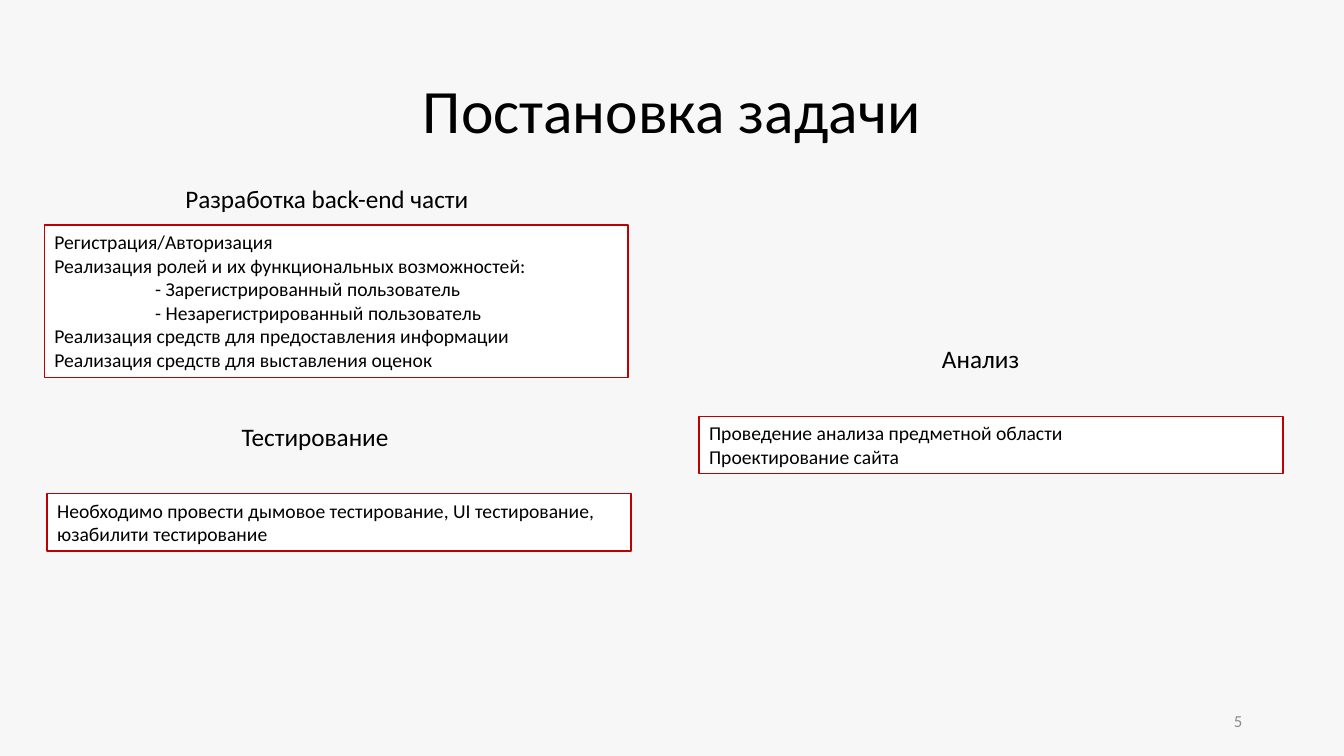
from dataclasses import dataclass

from pptx import Presentation
from pptx.dml.color import RGBColor
from pptx.enum.shapes import MSO_SHAPE
from pptx.enum.text import MSO_ANCHOR, MSO_AUTO_SIZE, PP_ALIGN
from pptx.util import Cm, Pt


@dataclass(frozen=True)
class Theme:
    font: str = "Calibri"
    background: RGBColor = RGBColor(0xF7, 0xF7, 0xF7)
    panel: RGBColor = RGBColor(0xFF, 0xFF, 0xFF)
    border: RGBColor = RGBColor(0xC0, 0x00, 0x00)
    text: RGBColor = RGBColor(0x00, 0x00, 0x00)
    muted: RGBColor = RGBColor(0x8C, 0x8C, 0x8C)
    title_size: int = 44
    heading_size: int = 18
    body_size: int = 14
    number_size: int = 12


class TaskSlide:
    PANEL_WIDTH = 14.71
    SUBITEM = "- "

    def __init__(self, presentation, theme):
        self.theme = theme
        self.slide = presentation.slides.add_slide(presentation.slide_layouts[6])
        fill = self.slide.background.fill
        fill.solid()
        fill.fore_color.rgb = theme.background

    def style(self, paragraph, size, color, align=PP_ALIGN.LEFT):
        paragraph.alignment = align
        paragraph.font.name = self.theme.font
        paragraph.font.size = Pt(size)
        paragraph.font.color.rgb = color

    def label(self, text, left, top, width, height, size, color=None,
              align=PP_ALIGN.LEFT, anchor=MSO_ANCHOR.TOP):
        frame = self.slide.shapes.add_textbox(
            Cm(left), Cm(top), Cm(width), Cm(height)).text_frame
        frame.word_wrap = True
        frame.vertical_anchor = anchor
        paragraph = frame.paragraphs[0]
        paragraph.text = text
        self.style(paragraph, size, color or self.theme.text, align)
        return paragraph

    def title(self, text):
        paragraph = self.label(text, 2.33, 1.01, 29.21, 3.68, self.theme.title_size,
                               align=PP_ALIGN.CENTER, anchor=MSO_ANCHOR.MIDDLE)
        paragraph.line_spacing = 0.9

    def heading(self, text, left, top, width):
        self.label(text, left, top, width, 1.03, self.theme.heading_size)

    def page_number(self, text):
        self.label(text, 23.94, 17.65, 7.62, 1.01, self.theme.number_size,
                   self.theme.muted, PP_ALIGN.RIGHT, MSO_ANCHOR.MIDDLE)

    def panel(self, lines, left, top, height):
        """Draw a bordered box of text; lines that open with a dash are indented."""
        box = self.slide.shapes.add_shape(
            MSO_SHAPE.RECTANGLE, Cm(left), Cm(top), Cm(self.PANEL_WIDTH), Cm(height))
        box.shadow.inherit = False
        box.fill.solid()
        box.fill.fore_color.rgb = self.theme.panel
        box.line.color.rgb = self.theme.border
        box.line.width = Pt(1)
        frame = box.text_frame
        frame.word_wrap = True
        frame.auto_size = MSO_AUTO_SIZE.SHAPE_TO_FIT_TEXT
        frame.vertical_anchor = MSO_ANCHOR.TOP
        frame.text = "\n".join(lines)
        for paragraph in frame.paragraphs:
            self.style(paragraph, self.theme.body_size, self.theme.text)
            if paragraph.text.startswith(self.SUBITEM):
                paragraph._p.get_or_add_pPr().set("marL", str(Cm(2.54)))


def main():
    presentation = Presentation()
    presentation.slide_width = Cm(33.87)
    presentation.slide_height = Cm(19.05)
    slide = TaskSlide(presentation, Theme())

    slide.title("Постановка задачи")

    slide.heading("Разработка back-end части", 4.42, 4.5, 8.13)
    slide.panel([
        "Регистрация/Авторизация",
        "Реализация ролей и их функциональных возможностей:",
        "- Зарегистрированный пользователь",
        "- Незарегистрированный пользователь",
        "Реализация средств для предоставления информации",
        "Реализация средств для выставления оценок",
    ], 1.12, 5.67, 3.84)

    slide.heading("Анализ", 23.49, 8.52, 6.99)
    slide.panel([
        "Проведение анализа предметной области",
        "Проектирование сайта",
    ], 17.62, 10.49, 1.45)

    slide.heading("Тестирование", 5.84, 10.49, 6.99)
    slide.panel([
        "Необходимо провести дымовое тестирование, UI тестирование, "
        "юзабилити тестирование",
    ], 1.19, 12.44, 1.45)

    slide.page_number("5")
    presentation.save("out.pptx")


if __name__ == "__main__":
    main()
